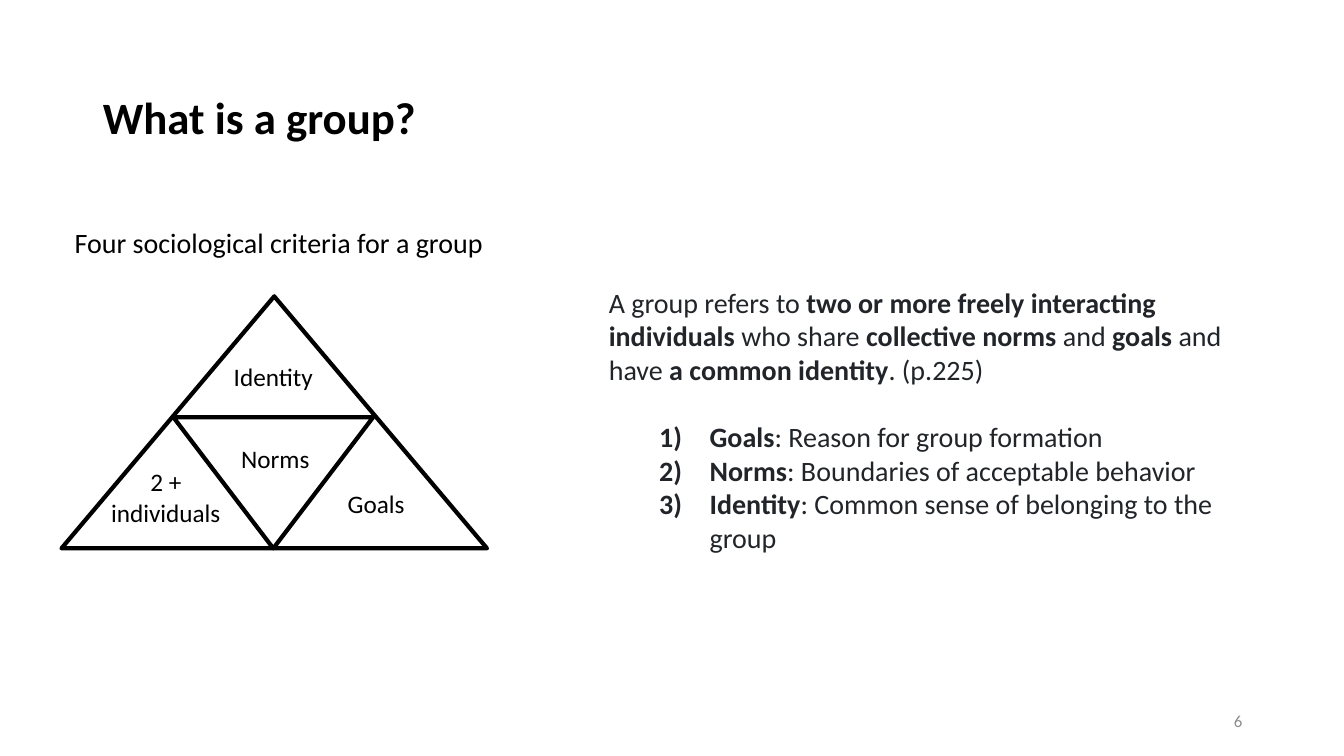
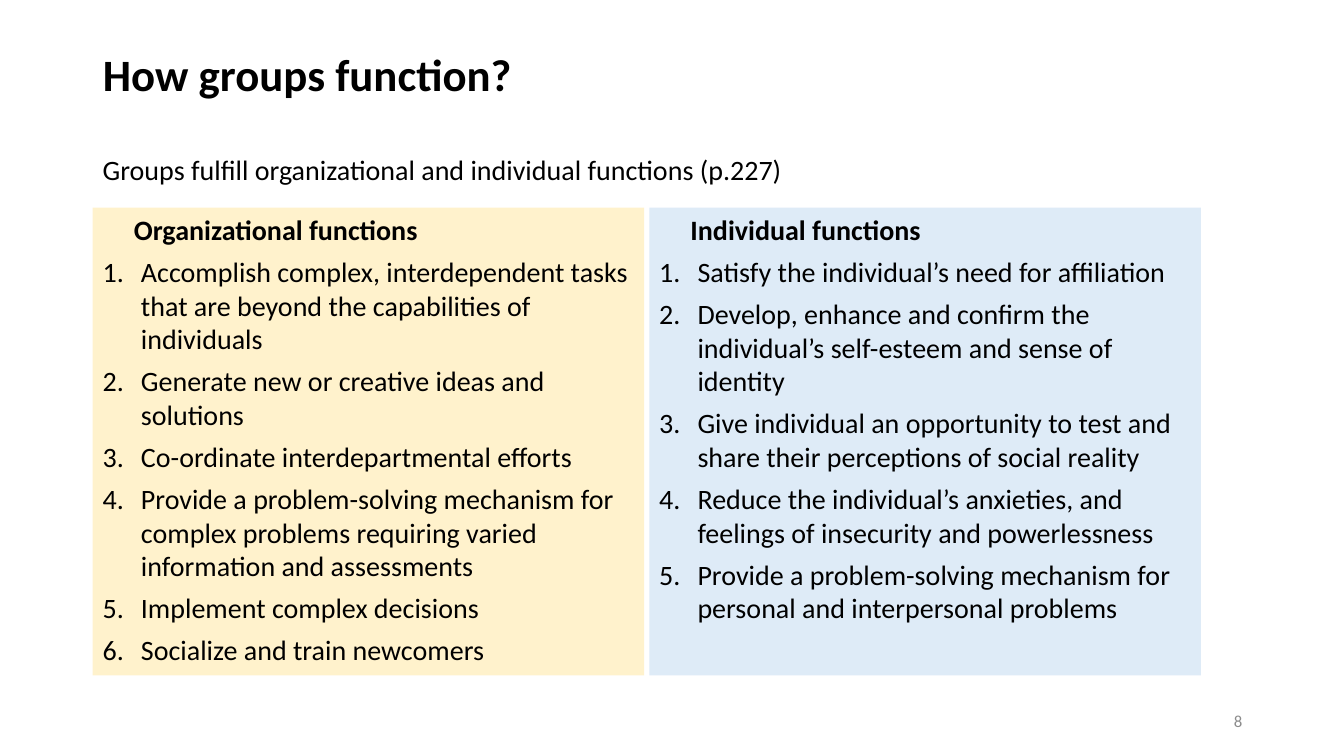
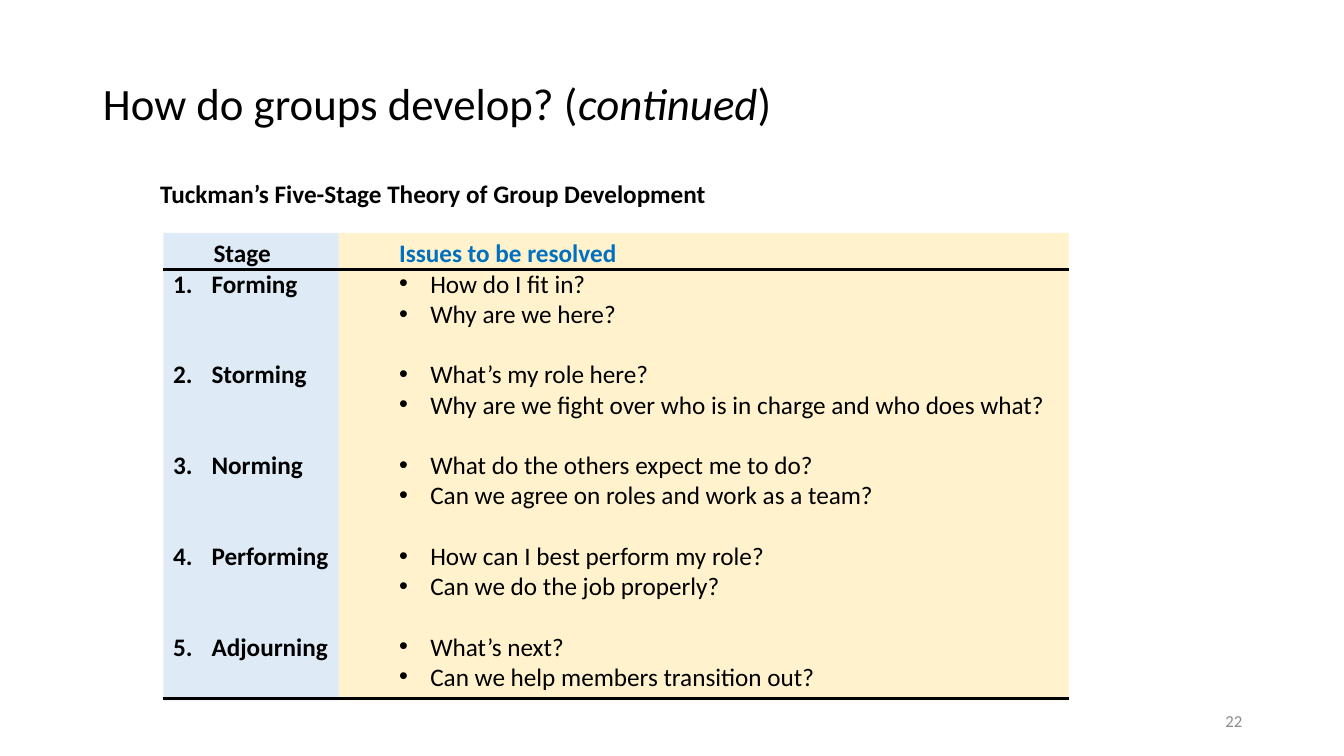
import pptx
import pptx.util
import pptx.dml.color
import pptx.enum.shapes
import pptx.enum.text
import pptx.oxml.ns
import lxml.etree

Inches = pptx.util.Inches
Pt = pptx.util.Pt
SHAPES = pptx.enum.shapes.MSO_SHAPE
ALIGN = pptx.enum.text.PP_ALIGN
ANCHOR = pptx.enum.text.MSO_ANCHOR

FONT = "Calibri"
COLORS = {
    "black": "000000",
    "body": "212529",
    "number": "8C8C8C",
    "accent": "0070C0",
    "yellow": "FFF2CC",
    "blue": "DEEBF7",
}
TITLE_ONLY = 5
STAGE_LINE = 21.6  # height of one 18 pt text line, in points

ORGANIZATIONAL = [
    "Accomplish complex, interdependent tasks that are beyond the capabilities of individuals",
    "Generate new or creative ideas and solutions",
    "Co-ordinate interdepartmental efforts",
    "Provide a problem-solving mechanism for complex problems requiring varied information and assessments",
    "Implement complex decisions",
    "Socialize and train newcomers",
]
INDIVIDUAL = [
    "Satisfy the individual’s need for affiliation",
    "Develop, enhance and confirm the individual’s self-esteem and sense of identity",
    "Give individual an opportunity to test and share their perceptions of social reality",
    "Reduce the individual’s anxieties, and feelings of insecurity and powerlessness",
    "Provide a problem-solving mechanism for personal and interpersonal problems",
]
STAGES = {
    "Forming": ["How do I fit in?", "Why are we here?"],
    "Storming": ["What’s my role here?",
                 "Why are we fight over who is in charge and who does what?"],
    "Norming": ["What do the others expect me to do?",
                "Can we agree on roles and work as a team?"],
    "Performing": ["How can I best perform my role?", "Can we do the job properly?"],
    "Adjourning": ["What’s next?", "Can we help members transition out?"],
}


def rgb(color):
    return pptx.dml.color.RGBColor.from_string(COLORS[color])


# Text
def set_bullet(paragraph, bullet):
    """A one-character bullet is drawn as it is; a longer name is a numbering scheme."""
    numbered = len(bullet) > 1
    tag, key = ("a:buAutoNum", "type") if numbered else ("a:buChar", "char")
    properties = paragraph._p.get_or_add_pPr()
    if not numbered:
        bullet_font = lxml.etree.SubElement(properties, pptx.oxml.ns.qn("a:buFont"))
        bullet_font.set("typeface", "Arial")
    lxml.etree.SubElement(properties, pptx.oxml.ns.qn(tag)).set(key, bullet)


def add_paragraph(frame, runs, size, color="black", align=ALIGN.LEFT, before=0,
                  spacing=None, left=0, hanging=0, bullet=None):
    """Runs are (text, style) pairs; style may hold b for bold and i for italic."""
    paragraph = frame.paragraphs[0]
    if paragraph.runs:
        paragraph = frame.add_paragraph()
    paragraph.alignment = align
    paragraph.space_before = Pt(before)
    if spacing:
        paragraph.line_spacing = spacing
    properties = paragraph._p.get_or_add_pPr()
    properties.set("marL", str(Inches(left)))
    properties.set("indent", str(-Inches(hanging)))
    if bullet:
        set_bullet(paragraph, bullet)
    for text, style in runs:
        run = paragraph.add_run()
        run.text = text
        run.font.name = FONT
        run.font.size = Pt(size)
        run.font.color.rgb = rgb(color)
        run.font.bold = "b" in style
        run.font.italic = "i" in style


def add_text_area(slide, left, top, width, height, anchor=ANCHOR.TOP):
    area = slide.shapes.add_textbox(Inches(left), Inches(top), Inches(width), Inches(height))
    area.text_frame.word_wrap = True
    area.text_frame.vertical_anchor = anchor
    return area.text_frame


def add_label(slide, text, left, top, width, height=0.4, size=18, style="",
              align=ALIGN.CENTER):
    add_paragraph(add_text_area(slide, left, top, width, height), [(text, style)],
                  size, align=align)


# Shapes
def add_panel(slide, color, left, top, width, height):
    panel = slide.shapes.add_shape(SHAPES.RECTANGLE, Inches(left), Inches(top),
                                   Inches(width), Inches(height))
    panel.shadow.inherit = False
    panel.fill.solid()
    panel.fill.fore_color.rgb = rgb(color)
    panel.line.fill.background()
    panel.text_frame.word_wrap = True
    panel.text_frame.vertical_anchor = ANCHOR.TOP
    return panel.text_frame


def add_triangle(slide, left, top, width, height, rotation=0):
    triangle = slide.shapes.add_shape(SHAPES.ISOSCELES_TRIANGLE, Inches(left), Inches(top),
                                      Inches(width), Inches(height))
    triangle.shadow.inherit = False
    triangle.fill.background()
    triangle.line.color.rgb = rgb("black")
    triangle.line.width = Pt(3)
    triangle.rotation = rotation


def add_rule(slide, left, right, y):
    rule = slide.shapes.add_connector(pptx.enum.shapes.MSO_CONNECTOR.STRAIGHT,
                                      Inches(left), Inches(y), Inches(right), Inches(y))
    rule.line.color.rgb = rgb("black")
    rule.line.width = Pt(2)
    lxml.etree.SubElement(rule._element.spPr, pptx.oxml.ns.qn("a:effectLst"))


# Shared slide frame: title and page number
def add_slide(deck, title_runs, title_top, title_height, number):
    slide = deck.slides.add_slide(deck.slide_layouts[TITLE_ONLY])
    title = slide.shapes.title
    title.left, title.top = Inches(0.92), Inches(title_top)
    title.width, title.height = Inches(11.5), Inches(title_height)
    title.text_frame.auto_size = pptx.enum.text.MSO_AUTO_SIZE.NONE
    title.text_frame.vertical_anchor = ANCHOR.MIDDLE
    add_paragraph(title.text_frame, title_runs, 32, spacing=0.9)
    page = add_text_area(slide, 9.42, 6.95, 3, 0.4, ANCHOR.MIDDLE)
    add_paragraph(page, [(str(number), "")], 12, "number", ALIGN.RIGHT)
    return slide


def build_definition(deck):
    slide = add_slide(deck, [("What is a group?", "b")], 0.74, 0.9, 6)

    # Definition and its numbered terms
    definition = add_text_area(slide, 5.94, 2.78, 6.74, 2.82)
    add_paragraph(definition, [
        ("A group refers to ", ""),
        ("two or more freely interacting individuals ", "b"),
        ("who share ", ""), ("collective norms ", "b"),
        ("and ", ""), ("goals", "b"), (" and have ", ""),
        ("a common identity", "b"), (". (p.225)", ""),
    ], 20, "body")
    terms = [("Goals", "Reason for group formation"),
             ("Norms", "Boundaries of acceptable behavior"),
             ("Identity", "Common sense of belonging to the group")]
    for index, (term, meaning) in enumerate(terms):
        add_paragraph(definition, [(term, "b"), (": " + meaning, "")], 20, "body",
                      before=0 if index else 24, left=1, hanging=0.5,
                      bullet="arabicParenR")

    # Triangle of criteria
    add_triangle(slide, 0.61, 2.94, 4.22, 2.5)
    add_triangle(slide, 1.72, 4.14, 1.98, 1.3, rotation=180)
    add_label(slide, "Identity", 2.17, 3.54, 1.08)
    add_label(slide, "Norms", 2.19, 4.35, 1.08)
    add_label(slide, "Goals", 3.19, 4.8, 1.08)
    add_label(slide, "2 + individuals", 0.93, 4.58, 1.43, 0.71)
    add_label(slide, "Four sociological criteria for a group", 0.61, 2.19, 4.31, 0.44, size=20)


def build_functions(deck):
    slide = add_slide(deck, [("How groups function?", "b")], 0.4, 0.72, 8)
    intro = add_text_area(slide, 0.92, 1.5, 11.5, 0.45)
    add_paragraph(intro, [("Groups fulfill organizational and individual functions (p.227)", "")],
                  20, before=10, spacing=0.9)

    # One panel per kind of function
    width, gap = 5.47, 0.05
    panels = [("Organizational functions", "yellow", ORGANIZATIONAL),
              ("Individual functions", "blue", INDIVIDUAL)]
    for column, (heading, color, functions) in enumerate(panels):
        panel = add_panel(slide, color, 0.92 + column * (width + gap), 2.06, width, 4.64)
        add_paragraph(panel, [(heading, "b")], 20, before=6, left=0.31)
        for function in functions:
            add_paragraph(panel, [(function, "")], 20, before=6, left=0.38, hanging=0.38,
                          bullet="arabicPeriod")


def build_stages(deck):
    slide = add_slide(deck, [("How do groups develop? (", ""), ("continued", "i"), (")", "")],
                      0.6, 0.9, 22)
    left, middle, right, top, height = 1.62, 3.36, 10.6, 2.31, 4.64
    issues = add_panel(slide, "yellow", middle, top, right - middle, height)
    stages = add_panel(slide, "blue", left, top, middle - left, height)
    add_paragraph(issues, [("Issues to be resolved", "b")], 18, "accent", left=0.5)
    add_paragraph(stages, [("Stage", "b")], 18, left=0.4)

    # Each stage sits level with its first question
    for row, (stage, questions) in enumerate(STAGES.items()):
        gap = STAGE_LINE if row else 0
        add_paragraph(stages, [(stage, "b")], 18, before=gap * len(questions),
                      left=0.38, hanging=0.38, bullet="arabicPeriod")
        for index, question in enumerate(questions):
            add_paragraph(issues, [(question, "")], 18, before=0 if index else gap,
                          left=0.81, hanging=0.31, bullet="•")

    for y in (2.67, 6.93):
        add_rule(slide, left, right, y)
    add_label(slide, "Tuckman’s Five-Stage Theory of Group Development", 1.49, 1.72, 6.6,
              style="b", align=ALIGN.LEFT)


def main():
    deck = pptx.Presentation()
    deck.slide_width, deck.slide_height = Inches(13.33), Inches(7.5)
    build_definition(deck)
    build_functions(deck)
    build_stages(deck)
    deck.save("out.pptx")


if __name__ == "__main__":
    main()
